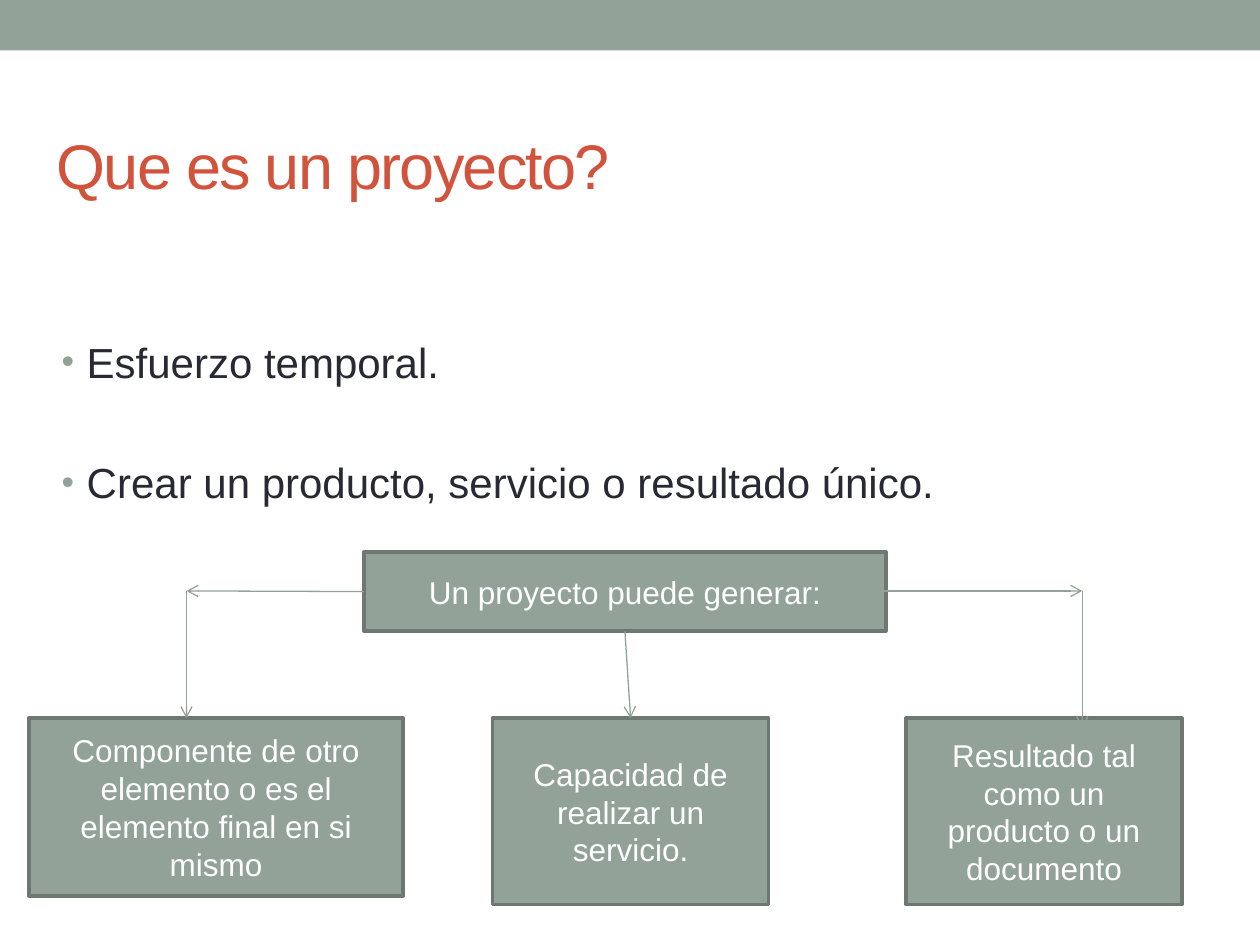
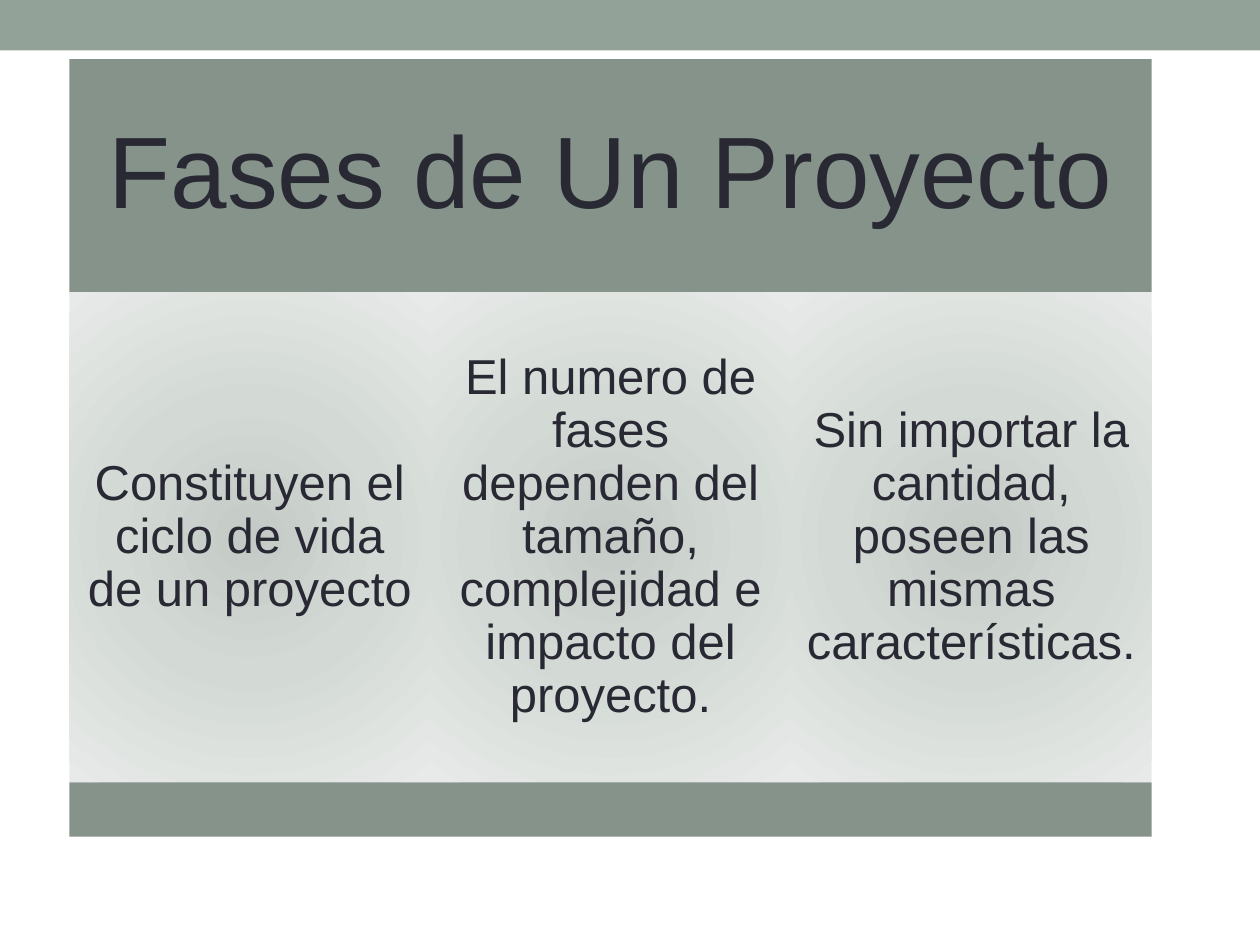
from lxml import etree
from pptx import Presentation
from pptx.dml.color import RGBColor
from pptx.enum.shapes import MSO_CONNECTOR, MSO_SHAPE
from pptx.enum.text import MSO_ANCHOR, PP_ALIGN
from pptx.oxml import parse_xml
from pptx.oxml.ns import nsdecls, qn
from pptx.util import Inches, Pt

SAGE = RGBColor(0x93, 0xA2, 0x99)
SAGE_EDGE = RGBColor(0x6D, 0x78, 0x71)
SAGE_DARK = RGBColor(0x85, 0x93, 0x8B)
RED = RGBColor(0xD2, 0x53, 0x3C)
INK = RGBColor(0x29, 0x29, 0x34)
WHITE = RGBColor(0xFF, 0xFF, 0xFF)
# Panel gradient, from the centre outwards
PANEL_STOPS = [(0, RGBColor(0xC4, 0xCA, 0xC6)),
               (45, RGBColor(0xD3, 0xDA, 0xD6)),
               (100, RGBColor(0xE7, 0xEA, 0xE8))]
FONT = "Arial"


def write(frame, lines, size, color, frame_format=None, **paragraph_format):
    """Fill a text frame with one paragraph per line."""
    frame.word_wrap = True
    for name, value in (frame_format or {}).items():
        setattr(frame, name, value)
    for number, line in enumerate(lines):
        paragraph = frame.add_paragraph() if number else frame.paragraphs[0]
        for name, value in paragraph_format.items():
            setattr(paragraph, name, value)
        run = paragraph.add_run()
        run.text = line
        font_format = {"name": FONT, "size": Pt(size)}
        for name, value in font_format.items():
            setattr(run.font, name, value)
        run.font.color.rgb = color


def add_block(slide, box, fill, edge=None):
    block = slide.shapes.add_shape(MSO_SHAPE.RECTANGLE, *map(Inches, box))
    block.shadow.inherit = False
    block.fill.solid()
    block.fill.fore_color.rgb = fill
    if edge is None:
        block.line.fill.background()
    else:
        block.line.color.rgb = edge
        block.line.width = Pt(2.08)
    return block


def add_slide(deck):
    """Blank slide with the shared top band."""
    slide = deck.slides.add_slide(deck.slide_layouts[6])
    add_block(slide, (0, 0, 10, 0.4), SAGE)
    return slide


def add_title(slide, box, text):
    title = slide.shapes.add_textbox(*map(Inches, box))
    write(title.text_frame, [text], 36, RED,
          {"vertical_anchor": MSO_ANCHOR.MIDDLE})
    title.text_frame.paragraphs[0].runs[0].font._element.set("spc", "-100")


def add_bullets(slide, box, lines):
    bullets = slide.shapes.add_textbox(*map(Inches, box))
    write(bullets.text_frame, lines, 24, INK, {"margin_top": Inches(0.56)})
    for number, paragraph in enumerate(bullets.text_frame.paragraphs):
        paragraph.space_before = Pt(40 if number else 0)
        props = paragraph._p.get_or_add_pPr()
        props.set("marL", str(Inches(0.2)))
        props.set("indent", str(-Inches(0.2)))
        color = etree.SubElement(props, qn("a:buClr"))
        etree.SubElement(color, qn("a:srgbClr"), val=str(SAGE))
        etree.SubElement(props, qn("a:buSzPct"), val="85000")
        etree.SubElement(props, qn("a:buFont"), typeface=FONT)
        etree.SubElement(props, qn("a:buChar"), char="•")


def add_arrow(slide, start, end, source=None, target=None):
    """Arrow between two points, joined to source's (shape, side) and target's."""
    arrow = slide.shapes.add_connector(
        MSO_CONNECTOR.STRAIGHT, *map(Inches, (*start, *end)))
    if source:
        arrow.begin_connect(*source)
    if target:
        arrow.end_connect(*target)
    arrow.line.color.rgb = SAGE
    arrow.line.width = Pt(0.75)
    etree.SubElement(arrow.line._get_or_add_ln(), qn("a:tailEnd"), type="arrow")
    etree.SubElement(arrow._element.spPr, qn("a:effectLst"))


def add_outcomes(slide, left, top):
    """Hub with three outcomes below, from the diagram's top left corner."""
    def node(x, y, width, height, text):
        block = add_block(slide, (left + x, top + y, width, height), SAGE, SAGE_EDGE)
        write(block.text_frame, [text], 18, WHITE,
              {"vertical_anchor": MSO_ANCHOR.MIDDLE}, alignment=PP_ALIGN.CENTER)
        return block

    row = 1.32
    hub = node(2.66, 0, 4.14, 0.63, "Un proyecto puede generar:")
    node(0, row, 2.97, 1.41,
         "Componente de otro elemento o es el elemento final en si mismo")
    service = node(3.68, row, 2.19, 1.48, "Capacidad de realizar un servicio.")
    node(6.96, row, 2.19, 1.48, "Resultado tal como un producto o un documento")

    # Arrows: out to each side, then down
    middle = top + 0.31
    left_turn, right_turn = left + 1.25, left + 8.36
    add_arrow(slide, (left + 2.66, middle), (left_turn, middle), source=(hub, 1))
    add_arrow(slide, (left_turn, middle), (left_turn, top + row))
    add_arrow(slide, (left + 4.73, top + 0.63), (left + 4.78, top + row),
              (hub, 2), (service, 0))
    add_arrow(slide, (left + 6.72, middle), (right_turn, middle))
    add_arrow(slide, (right_turn, middle), (right_turn, top + 1.4))


def set_radial_fill(block, stops):
    stop_xml = "".join(
        f'<a:gs pos="{position * 1000}"><a:srgbClr val="{color}"/></a:gs>'
        for position, color in stops)
    gradient = parse_xml(
        f'<a:gradFill {nsdecls("a")} rotWithShape="1"><a:gsLst>{stop_xml}</a:gsLst>'
        '<a:path path="circle"><a:fillToRect l="50000" t="50000" r="50000" b="50000"/>'
        '</a:path></a:gradFill>')
    props = block._element.spPr
    props.replace(props.find(qn("a:solidFill")), gradient)


def add_phases(slide, box, heading, phases):
    """Heading band, equal panels and a closing band, stacked in the box."""
    left, top, width, height = box
    heading_height, base_height = 1.85, 0.43
    panel_height = height - heading_height - base_height
    panel_width = width / len(phases)

    def label(block, text, size, inset):
        frame_format = {"vertical_anchor": MSO_ANCHOR.MIDDLE}
        for side in ("left", "top", "right", "bottom"):
            frame_format[f"margin_{side}"] = Inches(inset)
        write(block.text_frame, [text], size, INK, frame_format,
              alignment=PP_ALIGN.CENTER, line_spacing=0.9)

    band = add_block(slide, (left, top, width, heading_height), SAGE_DARK)
    label(band, heading, 58, 0.24)
    for number, phase in enumerate(phases):
        panel = add_block(slide, (left + number * panel_width, top + heading_height,
                                  panel_width, panel_height), WHITE)
        set_radial_fill(panel, PANEL_STOPS)
        label(panel, phase, 28, 0.12)
    add_block(slide, (left, top + height - base_height, width, base_height), SAGE_DARK)


def build_definition(deck):
    slide = add_slide(deck)
    add_title(slide, (0.35, 0.68, 9, 1.25), "Que es un proyecto?")
    add_bullets(slide, (0.39, 2.11, 9, 1.61),
                ["Esfuerzo temporal.", "Crear un producto, servicio o resultado único."])
    add_outcomes(slide, 0.23, 4.38)


def build_phases(deck):
    slide = add_slide(deck)
    add_phases(slide, (0.55, 0.47, 8.59, 6.17), "Fases de Un Proyecto", [
        "Constituyen el ciclo de vida de un proyecto",
        "El numero de fases dependen del tamaño, complejidad e impacto del proyecto.",
        "Sin importar la cantidad, poseen las mismas características."])


def main():
    deck = Presentation()
    deck.slide_width, deck.slide_height = Inches(10), Inches(7.5)
    build_definition(deck)
    build_phases(deck)
    deck.save("out.pptx")


if __name__ == "__main__":
    main()
